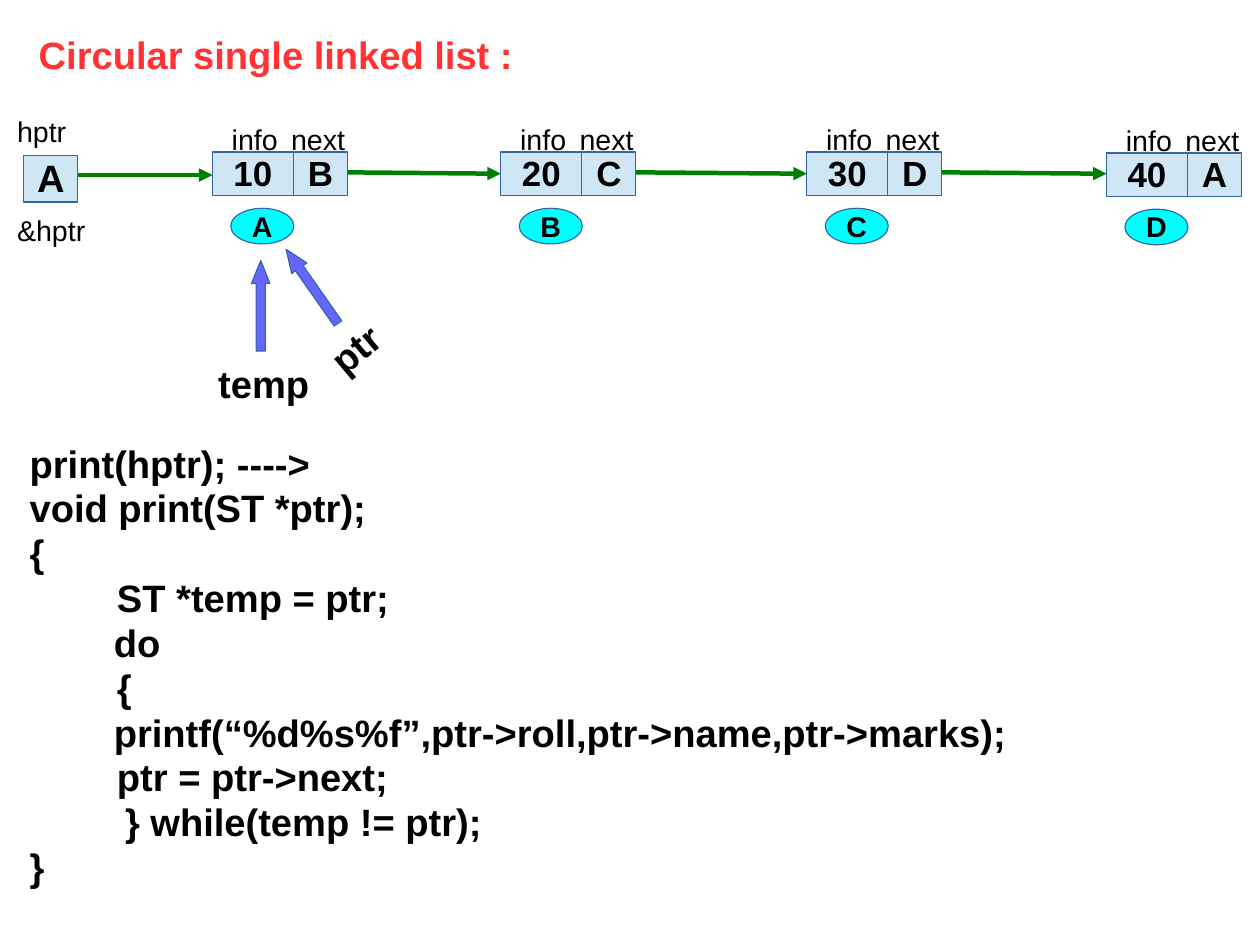
from itertools import pairwise
from lxml import etree
from pptx import Presentation
from pptx import util as u
from pptx.dml.color import RGBColor
from pptx.enum import shapes, text
from pptx.oxml.ns import qn

HEADING = "Circular single linked list :"
NODES = [
    ("A", "10", "B", 4.72, 3.38),
    ("B", "20", "C", 11.13, 3.38),
    ("C", "30", "D", 17.93, 3.38),
    ("D", "40", "A", 24.59, 3.4),
]
HEAD_BOX = (0.53, 3.45, 1.2, 1.04)
HEAD_LABELS = [("hptr", 2.39, 1.8), ("&hptr", 4.6, 2.03)]
POINTERS = [
    ("temp", (4.6, 7.92, 2.51, 1.27), 0, (5.59, 5.79, 0.41, 2.01), 0),
    ("ptr", (7.11, 7.14, 1.63, 1.27), 320, (6.73, 5.36, 0.41, 2.01), 325),
]
CODE = [
    ("print(hptr); ---->", 0),
    ("void print(ST *ptr);", 0),
    ("{", 0),
    ("ST *temp = ptr;", 1.94),
    ("do", 1.87),
    ("{", 1.94),
    ("printf(“%d%s%f”,ptr->roll,ptr->name,ptr->marks);", 1.87),
    ("ptr = ptr->next;", 1.94),
    ("} while(temp != ptr);", 2.12),
    ("}", 0),
]
COLORS = {"heading": "FF3333", "cell": "CFE7F5", "outline": "3465A4", "link": "008000",
          "address": "00FFFF", "pointer": "6666FF", "ink": "000000"}
INFO_W, NEXT_W, CELL_H = 1.8, 1.2, 0.96


def color(name):
    return RGBColor.from_string(COLORS[name])


def place(part, box):
    part.left, part.top, part.width, part.height = (u.Cm(v) for v in box)


def write(part, content, size, bold=True, ink="ink", align=text.PP_ALIGN.LEFT,
          anchor=text.MSO_ANCHOR.TOP, wrap=False, inset=0.17):
    frame = part.text_frame
    frame.text = content
    frame.word_wrap = wrap
    frame.auto_size = text.MSO_AUTO_SIZE.NONE
    frame.vertical_anchor = anchor
    frame.margin_left = frame.margin_right = u.Cm(0.25)
    frame.margin_top, frame.margin_bottom = u.Cm(inset), u.Cm(0.13)
    for line in frame.paragraphs:
        line.alignment = align
        line.line_spacing = 0.98
        line.space_before = u.Pt(0)
        for run in line.runs:
            run.font.name, run.font.size, run.font.bold = "Arial", u.Pt(size), bold
            run.font.color.rgb = color(ink)


def add_label(slide, content, box, size=18, bold=False, **options):
    label = slide.shapes.add_textbox(*(u.Cm(v) for v in box))
    write(label, content, size, bold, **options)
    return label


def add_figure(slide, kind, box, fill):
    figure = slide.shapes.add_shape(kind, *(u.Cm(v) for v in box))
    figure.shadow.inherit = False
    figure.fill.solid()
    figure.fill.fore_color.rgb = color(fill)
    figure.line.color.rgb = color("outline")
    figure.line.width = u.Pt(0.75)
    return figure


def add_cell(slide, content, box, size=22, kind=shapes.MSO_SHAPE.RECTANGLE, fill="cell"):
    write(add_figure(slide, kind, box, fill), content, size,
          align=text.PP_ALIGN.CENTER, anchor=text.MSO_ANCHOR.MIDDLE)


def add_link(slide, start, end):
    link = slide.shapes.add_connector(shapes.MSO_CONNECTOR.STRAIGHT,
                                      *(u.Cm(v) for v in (*start, *end)))
    link.line.color.rgb = color("link")
    link.line.width = u.Pt(2.83)
    etree.SubElement(link.line._get_or_add_ln(), qn("a:tailEnd"), type="triangle")
    etree.SubElement(link._element.spPr, qn("a:effectLst"))


def add_node(slide, address, info, following, left, top):
    add_cell(slide, address, (left + 0.41, top + 1.25, 1.4, 0.79), 18,
             shapes.MSO_SHAPE.OVAL, "address")
    add_cell(slide, info, (left, top, INFO_W, CELL_H))
    add_cell(slide, following, (left + INFO_W, top, NEXT_W, CELL_H))
    add_label(slide, "info", (left + 0.18, top - 0.81, 1.93, 0.97), wrap=True)
    add_label(slide, "next", (left + 1.5, top - 0.81, 1.7, 0.97))


def main():
    deck = Presentation()
    deck.slide_width, deck.slide_height = u.Cm(28), u.Cm(21)
    slide = deck.slides.add_slide(deck.slide_layouts[5])
    heading = slide.shapes.title
    place(heading, (0.61, 0.58, 11.3, 1.19))
    write(heading, HEADING, 24, ink="heading")

    add_cell(slide, "A", HEAD_BOX, 24)
    for name, top, width in HEAD_LABELS:
        add_label(slide, name, (0.13, top, width, 0.97), wrap=True)

    for node in NODES:
        add_node(slide, *node)
    add_link(slide, (HEAD_BOX[0] + HEAD_BOX[2], 3.89), (NODES[0][3], 3.89))
    for source, target in pairwise(NODES):
        add_link(slide, (source[3] + INFO_W + NEXT_W, 3.83), (target[3], 3.86))

    for name, label_box, label_turn, arrow_box, arrow_turn in POINTERS:
        arrow = add_figure(slide, shapes.MSO_SHAPE.UP_ARROW, arrow_box, "pointer")
        arrow.adjustments[0], arrow.adjustments[1] = 0.5, 1.25
        arrow.rotation = arrow_turn
        label = add_label(slide, name, label_box, 24, True, inset=0.13)
        label.rotation = label_turn

    code = add_label(slide, "\n".join(line for line, _ in CODE), (0.41, 9.7, 27.2, 9.86),
                     24, True, wrap=True, inset=0.13)
    for paragraph, (_, indent) in zip(code.text_frame.paragraphs, CODE):
        paragraph._p.get_or_add_pPr().set("marL", str(u.Cm(indent)))
    deck.save("out.pptx")


if __name__ == "__main__":
    main()
